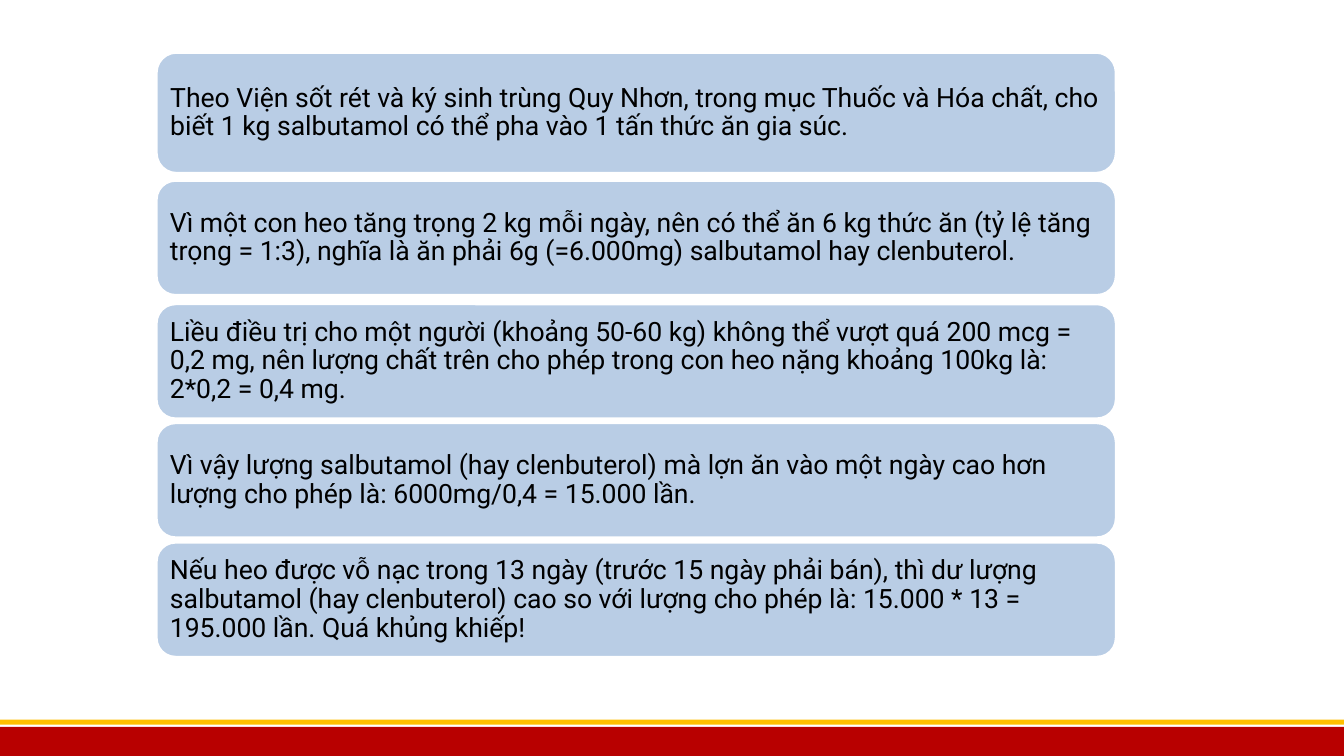
from pptx import Presentation
from pptx.dml.color import RGBColor
from pptx.enum.shapes import MSO_SHAPE
from pptx.enum.text import MSO_ANCHOR, PP_ALIGN
from pptx.util import Inches, Pt

RED = RGBColor(0xB8, 0x00, 0x00)
GOLD = RGBColor(0xFF, 0xC0, 0x00)
BLUE = RGBColor(0xB9, 0xCD, 0xE5)
WHITE = RGBColor(0xFF, 0xFF, 0xFF)
BLACK = RGBColor(0x00, 0x00, 0x00)

# Top and height of each card in percent of the slide height, then its text
CARDS = [
    (6.93, 16, "Theo Viện sốt rét và ký sinh trùng Quy Nhơn, trong mục Thuốc và Hóa chất, "
     "cho biết 1 kg salbutamol có thể pha vào 1 tấn thức ăn gia súc."),
    (23.87, 15.2, "Vì một con heo tăng trọng 2 kg mỗi ngày, nên có thể ăn 6 kg thức ăn "
     "(tỷ lệ tăng trọng = 1:3), nghĩa là ăn phải 6g (=6.000mg) salbutamol hay clenbuterol."),
    (40.2, 15.2, "Liều điều trị cho một người (khoảng 50-60 kg) không thể vượt quá 200 mcg = "
     "0,2 mg, nên lượng chất trên cho phép trong con heo nặng khoảng 100kg là: "
     "2*0,2 = 0,4 mg."),
    (55.93, 15.2, "Vì vậy lượng salbutamol (hay clenbuterol) mà lợn ăn vào một ngày cao hơn "
     "lượng cho phép là: 6000mg/0,4 = 15.000 lần."),
    (71.73, 15.2, "Nếu heo được vỗ nạc trong 13 ngày (trước 15 ngày phải bán), thì dư lượng "
     "salbutamol (hay clenbuterol) cao so với lượng cho phép là: 15.000 * 13 = "
     "195.000 lần. Quá khủng khiếp!"),
]


class Deck:
    face = "Roboto"
    size = Pt(19)
    inset = Inches(0.08)

    def __init__(self):
        self.prs = Presentation()
        self.prs.slide_width = Inches(13.33)
        self.prs.slide_height = Inches(7.5)
        self.slide = self.prs.slides.add_slide(self.prs.slide_layouts[6])

    def block(self, kind, left, top, width, height, fill):
        """Add a filled shape placed in percent of the slide's size."""
        wide, high = self.prs.slide_width / 100, self.prs.slide_height / 100
        shape = self.slide.shapes.add_shape(
            kind, int(left * wide), int(top * high), int(width * wide), int(height * high))
        shape.shadow.inherit = False
        shape.fill.solid()
        shape.fill.fore_color.rgb = fill
        shape.line.fill.background()
        return shape

    def bar(self, top, height, fill):
        self.block(MSO_SHAPE.RECTANGLE, 0, top, 100, height, fill)

    def card(self, top, height, text):
        shape = self.block(MSO_SHAPE.ROUNDED_RECTANGLE, 11.63, top, 71.42, height, BLUE)
        shape.line.color.rgb = WHITE
        shape.line.width = Pt(2)
        frame = shape.text_frame
        frame.text = text
        frame.word_wrap = True
        frame.vertical_anchor = MSO_ANCHOR.MIDDLE
        frame.margin_left = frame.margin_right = self.inset
        frame.margin_top = frame.margin_bottom = self.inset
        para = frame.paragraphs[0]
        para.alignment = PP_ALIGN.LEFT
        para.line_spacing = 0.9
        font = para.runs[0].font
        font.name = self.face
        font.size = self.size
        font.color.rgb = BLACK


def main():
    deck = Deck()
    deck.bar(96.13, 3.87, RED)
    deck.bar(95.2, 0.67, GOLD)
    for top, height, text in CARDS:
        deck.card(top, height, text)
    deck.prs.save("out.pptx")


if __name__ == "__main__":
    main()
